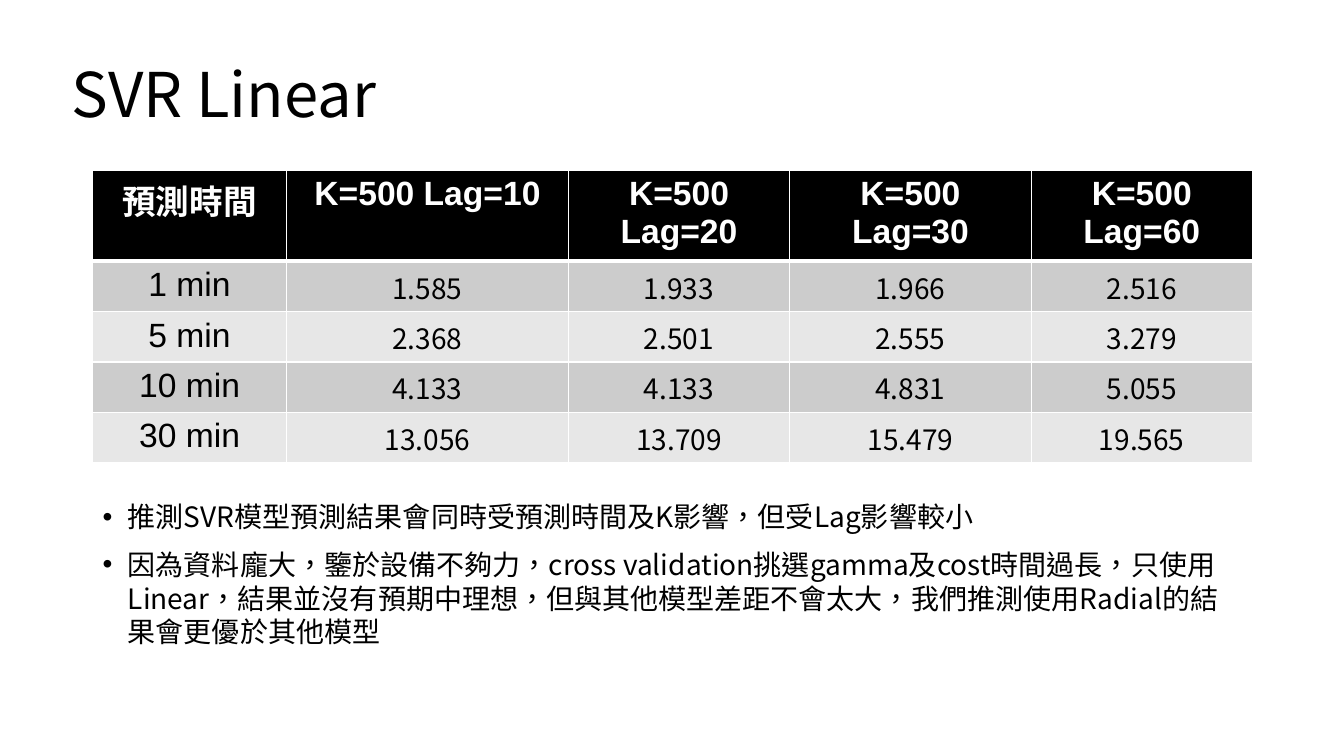
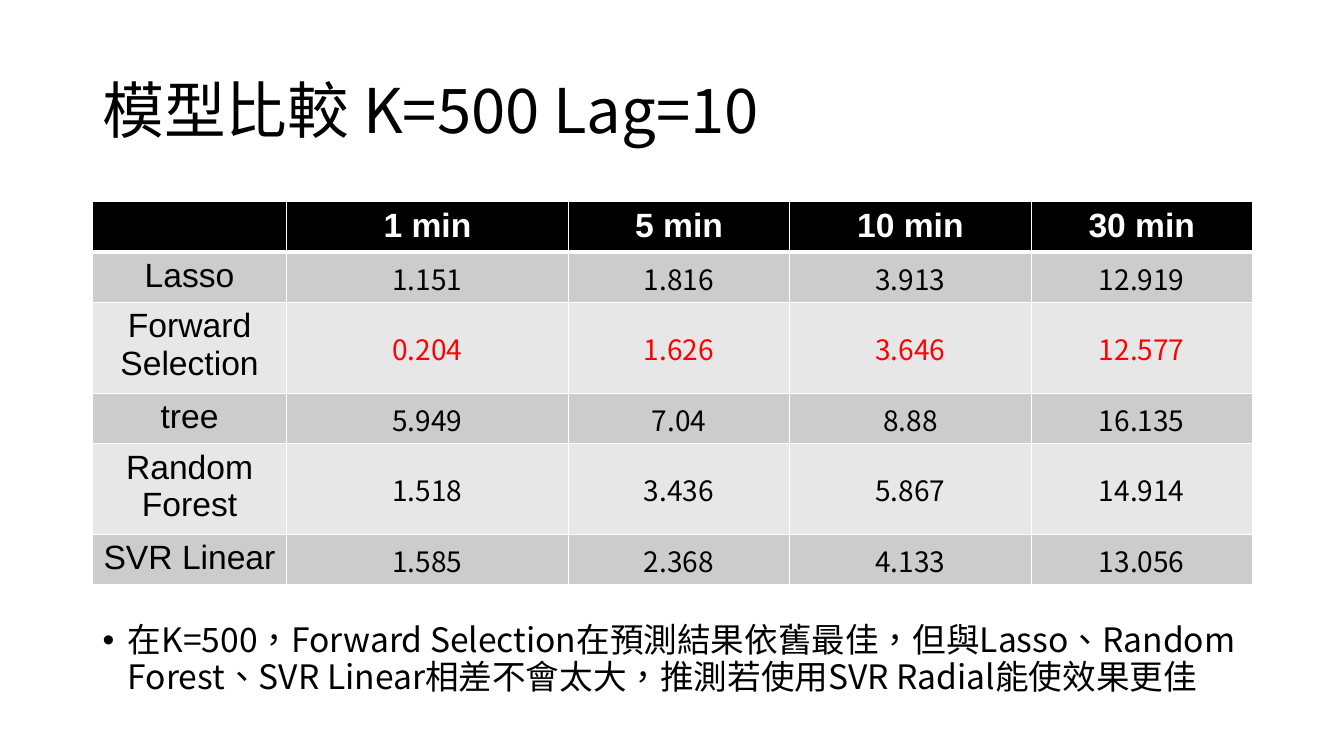
from lxml import etree
from pptx import Presentation
from pptx import util as u
from pptx.dml import color
from pptx.enum import text
from pptx.oxml import ns

BLACK, WHITE, RED = "000000", "FFFFFF", "FF0000"
BANDS = ["CCCCCC", "E7E7E7"]
SANS, LABEL = "Noto Sans CJK SC", "Arial"
COLUMNS = [1.92, 2.8, 2.19, 2.4, 2.19]
LEFT, WIDTH = 0.92, 11.5
ROW_HEIGHT = 0.44


def rgb(value):
    return color.RGBColor.from_string(value)


def child(parent, tag, **attributes):
    return etree.SubElement(parent, ns.qn(tag), attributes)


class Report:
    def __init__(self):
        self.deck = Presentation()
        self.deck.slide_width = u.Inches(13.33)
        self.deck.slide_height = u.Inches(7.5)
        self.page = None

    def add_page(self):
        self.page = self.deck.slides.add_slide(self.deck.slide_layouts[6])

    def style(self, para, size, font=SANS, ink=BLACK, bold=False):
        for span in para.runs:
            span.font.size = u.Pt(size)
            span.font.name = font
            span.font.bold = bold
            span.font.color.rgb = rgb(ink)
            properties = span._r.get_or_add_rPr()
            properties.set("lang", "zh-TW")
            child(properties, "a:ea", typeface=SANS)

    def text_box(self, left, top, height):
        box = self.page.shapes.add_textbox(
            u.Inches(left), u.Inches(top), u.Inches(WIDTH), u.Inches(height))
        box.text_frame.word_wrap = True
        return box.text_frame

    def title(self, words, left, top):
        frame = self.text_box(left, top, 1.45)
        frame.vertical_anchor = text.MSO_ANCHOR.MIDDLE
        frame.text = words
        para = frame.paragraphs[0]
        para.line_spacing = 0.9
        self.style(para, 44)

    def bullets(self, items, top, height, size, spacing):
        frame = self.text_box(LEFT, top, height)
        frame.text = "\n".join(items)
        for index, para in enumerate(frame.paragraphs):
            properties = para._p.get_or_add_pPr()
            properties.set("marL", str(u.Inches(0.25)))
            properties.set("indent", str(-u.Inches(0.25)))
            child(properties, "a:buFont", typeface=LABEL)
            child(properties, "a:buChar", char="•")
            para.line_spacing = spacing
            para.space_before = u.Pt(10 if index else 0)
            self.style(para, size)

    def borders(self, cell, top, bottom):
        properties = cell._tc.get_or_add_tcPr()
        widths = {"a:lnL": 1, "a:lnR": 1, "a:lnT": top, "a:lnB": bottom}
        for index, (tag, width) in enumerate(widths.items()):
            line = child(properties, tag, w=str(u.Pt(width)))
            child(child(line, "a:solidFill"), "a:srgbClr", val=WHITE)
            properties.insert(index, line)

    def cell(self, cell, words, row, column, ink):
        header, label = row == 0, column == 0
        cell.text = words
        cell.fill.solid()
        cell.fill.fore_color.rgb = rgb(BLACK if header else BANDS[(row - 1) % 2])
        self.borders(cell, 3 if row == 1 else 1, 3 if header else 1)
        para = cell.text_frame.paragraphs[0]
        para.alignment = text.PP_ALIGN.CENTER
        if header:
            self.style(para, 24, LABEL, WHITE, True)
        elif label:
            self.style(para, 24, LABEL)
        else:
            cell.vertical_anchor = text.MSO_ANCHOR.MIDDLE
            cell.margin_left = cell.margin_right = cell.margin_top = u.Inches(0.01)
            cell.margin_bottom = 0
            self.style(para, 20, ink=ink)

    def table(self, rows, top, height, best_row=None):
        frame = self.page.shapes.add_table(
            len(rows), len(COLUMNS), u.Inches(LEFT), u.Inches(top),
            u.Inches(WIDTH), u.Inches(height))
        table = frame.table
        for column, width in zip(table.columns, COLUMNS):
            column.width = u.Inches(width)
        for row, values in enumerate(rows):
            table.rows[row].height = u.Inches(ROW_HEIGHT)
            ink = RED if row == best_row else BLACK
            for column, words in enumerate(values):
                self.cell(table.cell(row, column), words, row, column, ink)
        frame.height = u.Inches(height)


def main():
    report = Report()

    report.add_page()
    report.title("SVR Linear", 0.61, 0.24)
    report.table([
        ["預測時間"] + [f"K=500 Lag={lag}" for lag in (10, 20, 30, 60)],
        ["1 min", "1.585", "1.933", "1.966", "2.516"],
        ["5 min", "2.368", "2.501", "2.555", "3.279"],
        ["10 min", "4.133", "4.133", "4.831", "5.055"],
        ["30 min", "13.056", "13.709", "15.479", "19.565"],
    ], 1.69, 2.9)
    report.bullets([
        "推測SVR模型預測結果會同時受預測時間及K影響，但受Lag影響較小",
        "因為資料龐大，鑒於設備不夠力，cross validation挑選gamma及cost時間過長，"
        "只使用Linear，結果並沒有預期中理想，但與其他模型差距不會太大，"
        "我們推測使用Radial的結果會更優於其他模型",
    ], 4.91, 2.26, 20, 1.0)

    report.add_page()
    report.title("模型比較 K=500 Lag=10", LEFT, 0.4)
    report.table([
        ["", "1 min", "5 min", "10 min", "30 min"],
        ["Lasso", "1.151", "1.816", "3.913", "12.919"],
        ["Forward Selection", "0.204", "1.626", "3.646", "12.577"],
        ["tree", "5.949", "7.04", "8.88", "16.135"],
        ["Random Forest", "1.518", "3.436", "5.867", "14.914"],
        ["SVR Linear", "1.585", "2.368", "4.133", "13.056"],
    ], 2, 3.8, best_row=2)
    report.bullets([
        "在K=500，Forward Selection在預測結果依舊最佳，但與Lasso、Random Forest、"
        "SVR Linear相差不會太大，推測若使用SVR Radial能使效果更佳",
    ], 6.14, 0.96, 24, 0.9)

    report.deck.save("out.pptx")


if __name__ == "__main__":
    main()
